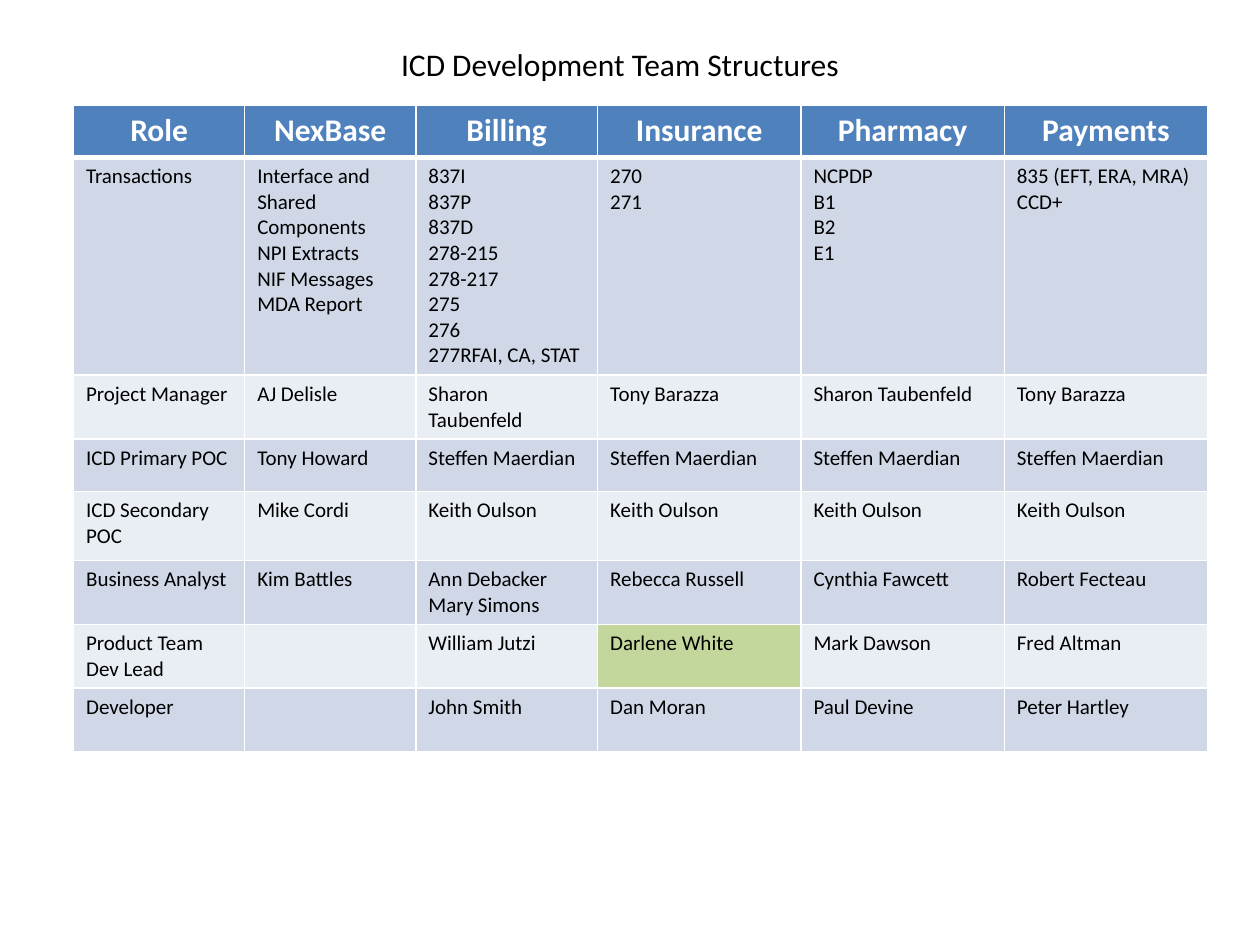
import pptx
import pptx.dml.color
import pptx.enum.text
import pptx.oxml
import pptx.oxml.ns
import pptx.util

Pt = pptx.util.Pt
ALIGN = pptx.enum.text.PP_ALIGN

WHITE, BLACK = "FFFFFF", "000000"
HEADER_FILL, HIGHLIGHT = "4F81BD", "C3D69B"
BAND_FILLS = ("E9EDF4", "D0D8E8")

HEADER_FORMAT = {"name": "Calibri", "size": Pt(18), "bold": True}
BODY_FORMAT = {"name": "Calibri", "size": Pt(12), "bold": False}
TITLE_FORMAT = {"name": "Calibri", "size": Pt(18), "bold": False}

COLUMN_WIDTHS = (97.8, 97.8, 103.9, 116.2, 116.2, 116.2)
ROW_HEIGHTS = (30, 124.4, 36.4, 30, 39.6, 36.4, 36.4, 36.4)
HIGHLIGHTED_NAME = "Darlene White"

# Each line break inside a cell starts a new paragraph
TEAM_ROWS = [
    ["Role", "NexBase", "Billing", "Insurance", "Pharmacy", "Payments"],
    ["Transactions",
     "Interface and Shared Components\nNPI Extracts\nNIF Messages\nMDA Report",
     "837I\n837P\n837D\n278-215\n278-217\n275\n276\n277RFAI, CA, STAT",
     "270\n271", "NCPDP\nB1\nB2\nE1", "835 (EFT, ERA, MRA)\nCCD+"],
    ["Project Manager", "AJ Delisle"] + ["Sharon Taubenfeld", "Tony Barazza"] * 2,
    ["ICD Primary POC", "Tony Howard"] + ["Steffen Maerdian"] * 4,
    ["ICD Secondary POC", "Mike Cordi"] + ["Keith Oulson"] * 4,
    ["Business Analyst", "Kim Battles", "Ann Debacker\nMary Simons",
     "Rebecca Russell", "Cynthia Fawcett", "Robert Fecteau"],
    ["Product Team Dev Lead", "", "William Jutzi", HIGHLIGHTED_NAME,
     "Mark Dawson", "Fred Altman"],
    ["Developer", "", "John Smith", "Dan Moran", "Paul Devine", "Peter Hartley"],
]


def color(hex_string):
    return pptx.dml.color.RGBColor.from_string(hex_string)


def format_paragraph(paragraph, font_format, hex_string, alignment):
    paragraph.alignment = alignment
    for attribute, value in font_format.items():
        setattr(paragraph.font, attribute, value)
        for run in paragraph.runs:
            setattr(run.font, attribute, value)
    for run in paragraph.runs:
        run.font.color.rgb = color(hex_string)


def set_borders(cell, widths):
    """Add white cell borders; they must come before the fill."""
    properties = cell._tc.get_or_add_tcPr()
    for position, (side, width) in enumerate(widths.items()):
        border = pptx.oxml.parse_xml(
            f'<a:ln{side} {pptx.oxml.ns.nsdecls("a")} w="{Pt(width)}">'
            f'<a:solidFill><a:srgbClr val="{WHITE}"/></a:solidFill></a:ln{side}>')
        properties.insert(position, border)


def add_title(slide, text, left, top, width, height):
    title = slide.shapes.title
    title.left, title.top, title.width, title.height = map(Pt, (left, top, width, height))
    frame = title.text_frame
    frame.text = text
    frame.word_wrap = False
    frame.auto_size = pptx.enum.text.MSO_AUTO_SIZE.SHAPE_TO_FIT_TEXT
    frame.vertical_anchor = pptx.enum.text.MSO_ANCHOR.TOP
    format_paragraph(frame.paragraphs[0], TITLE_FORMAT, BLACK, ALIGN.LEFT)


def fill_cell(cell, text, row_index):
    is_header = row_index == 0
    cell.text = text
    for paragraph in cell.text_frame.paragraphs:
        if is_header:
            format_paragraph(paragraph, HEADER_FORMAT, WHITE, ALIGN.CENTER)
        else:
            format_paragraph(paragraph, BODY_FORMAT, BLACK, ALIGN.LEFT)
    fill = HEADER_FILL if is_header else BAND_FILLS[row_index % 2]
    cell.fill.solid()
    cell.fill.fore_color.rgb = color(HIGHLIGHT if text == HIGHLIGHTED_NAME else fill)
    set_borders(cell, {"L": 1, "R": 1, "T": 3 if row_index == 1 else 1,
                       "B": 3 if is_header else 1})


def add_team_table(slide, left, top):
    frame = slide.shapes.add_table(
        len(ROW_HEIGHTS), len(COLUMN_WIDTHS), Pt(left), Pt(top),
        Pt(sum(COLUMN_WIDTHS)), Pt(sum(ROW_HEIGHTS)))
    table = frame.table
    for column, width in zip(table.columns, COLUMN_WIDTHS):
        column.width = Pt(width)
    for row_index, (row, height) in enumerate(zip(table.rows, ROW_HEIGHTS)):
        row.height = Pt(height)
        for cell, text in zip(row.cells, TEAM_ROWS[row_index]):
            fill_cell(cell, text, row_index)


presentation = pptx.Presentation()
presentation.slide_width, presentation.slide_height = Pt(720), Pt(540)
slide = presentation.slides.add_slide(presentation.slide_layouts[5])

add_title(slide, "ICD Development Team Structures", 222, 22, 268, 29)
add_team_table(slide, 42, 60)

presentation.save("out.pptx")
